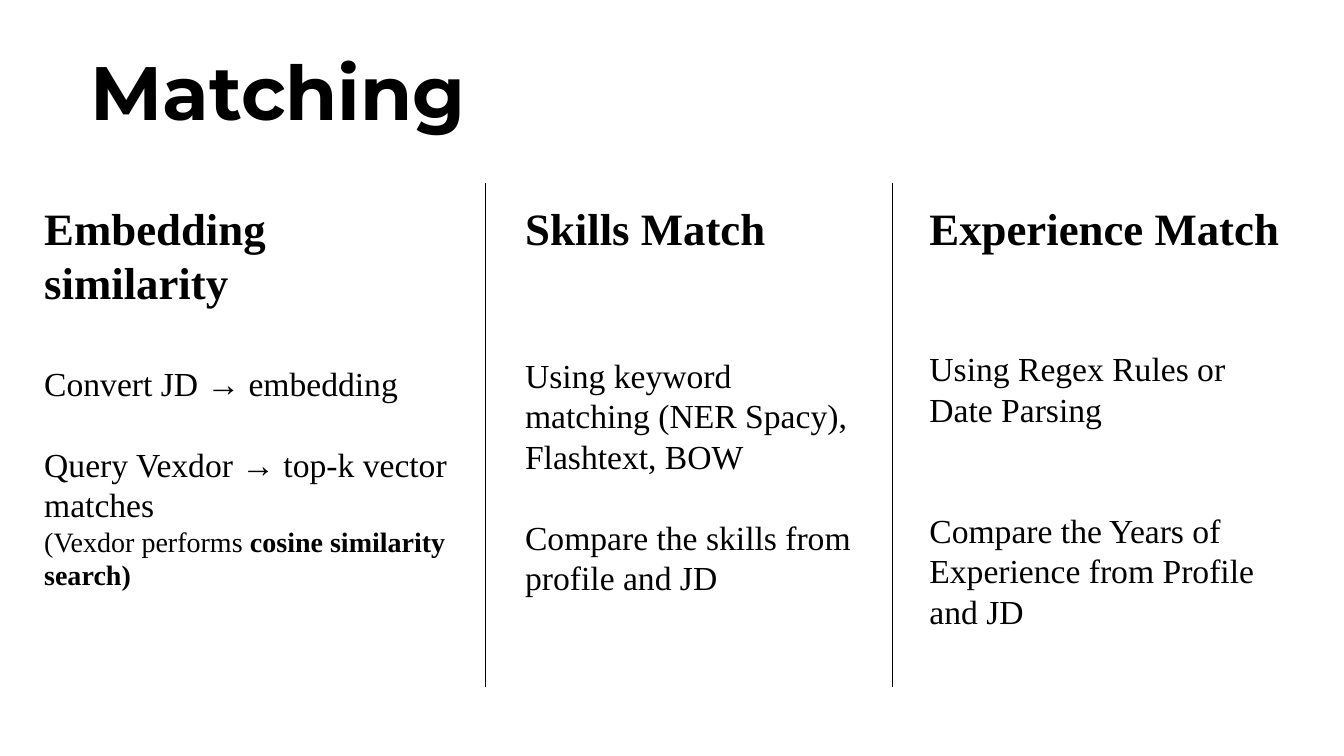
from lxml import etree
from pptx import Presentation
from pptx import util as u
from pptx.dml.color import RGBColor
from pptx.enum import shapes, text
from pptx.oxml.ns import qn

PX = 9144
COLORS = {"paper": "FFFFFF", "ink": "000000"}
HEADING_FONT, BODY_FONT = "Montserrat", "Times New Roman"

TITLE = ("Matching", (80, 50, 1150, 109))
COLUMN_TOP = 194
COLUMNS = [
    {"left": 34, "width": 420, "height": 414, "heading": "Embedding similarity",
     "body": [
         (39, 24, [("Convert JD → embedding", False)]),
         (29, 24, [("Query Vexdor → top-k vector matches", False)]),
         (0, 20, [("(Vexdor performs ", False), ("cosine similarity search)", True)]),
     ]},
    {"left": 511, "width": 347, "height": 407, "heading": "Skills Match",
     "body": [
         (72, 24, [("Using keyword matching (NER Spacy), Flashtext, BOW", False)]),
         (29, 24, [("Compare the skills from profile and JD", False)]),
     ]},
    {"left": 912, "width": 370, "height": 441, "heading": "Experience Match",
     "body": [
         (67, 24, [("Using Regex Rules or Date Parsing", False)]),
         (58, 24, [("Compare the Years of Experience from Profile and JD", False)]),
     ]},
]
DIVIDERS = [481, 885]
DIVIDER_TOP, DIVIDER_BOTTOM = 182, 682


def color(name):
    return RGBColor.from_string(COLORS[name])


def add_text(slide, box, paragraphs, font):
    frame = slide.shapes.add_textbox(*(n * PX for n in box)).text_frame
    frame.word_wrap = True
    frame.vertical_anchor = text.MSO_ANCHOR.TOP
    for i, (gap, size, pieces) in enumerate(paragraphs):
        paragraph = frame.add_paragraph() if i else frame.paragraphs[0]
        paragraph.space_before = u.Pt(gap)
        for words, bold in pieces:
            run = paragraph.add_run()
            run.text = words
            run.font.name = font
            run.font.size = u.Pt(size)
            run.font.bold = bold
            run.font.color.rgb = color("ink")
    return frame


def add_divider(slide, x):
    divider = slide.shapes.add_connector(
        shapes.MSO_CONNECTOR.STRAIGHT,
        x * PX, DIVIDER_TOP * PX, x * PX, DIVIDER_BOTTOM * PX)
    divider.line.color.rgb = color("ink")
    divider.line.width = u.Pt(0.5)
    etree.SubElement(divider._element.spPr, qn("a:effectLst"))


def main():
    deck = Presentation()
    deck.slide_width, deck.slide_height = 1333 * PX, 750 * PX
    slide = deck.slides.add_slide(deck.slide_layouts[6])
    slide.background.fill.solid()
    slide.background.fill.fore_color.rgb = color("paper")

    title, title_box = TITLE
    heading = add_text(slide, title_box, [(0, 54, [(title, True)])], HEADING_FONT)
    heading.paragraphs[0].line_spacing = 0.9

    for column in COLUMNS:
        box = (column["left"], COLUMN_TOP, column["width"], column["height"])
        paragraphs = [(0, 32, [(column["heading"], True)])] + column["body"]
        add_text(slide, box, paragraphs, BODY_FONT)

    for x in DIVIDERS:
        add_divider(slide, x)

    deck.save("out.pptx")


if __name__ == "__main__":
    main()
